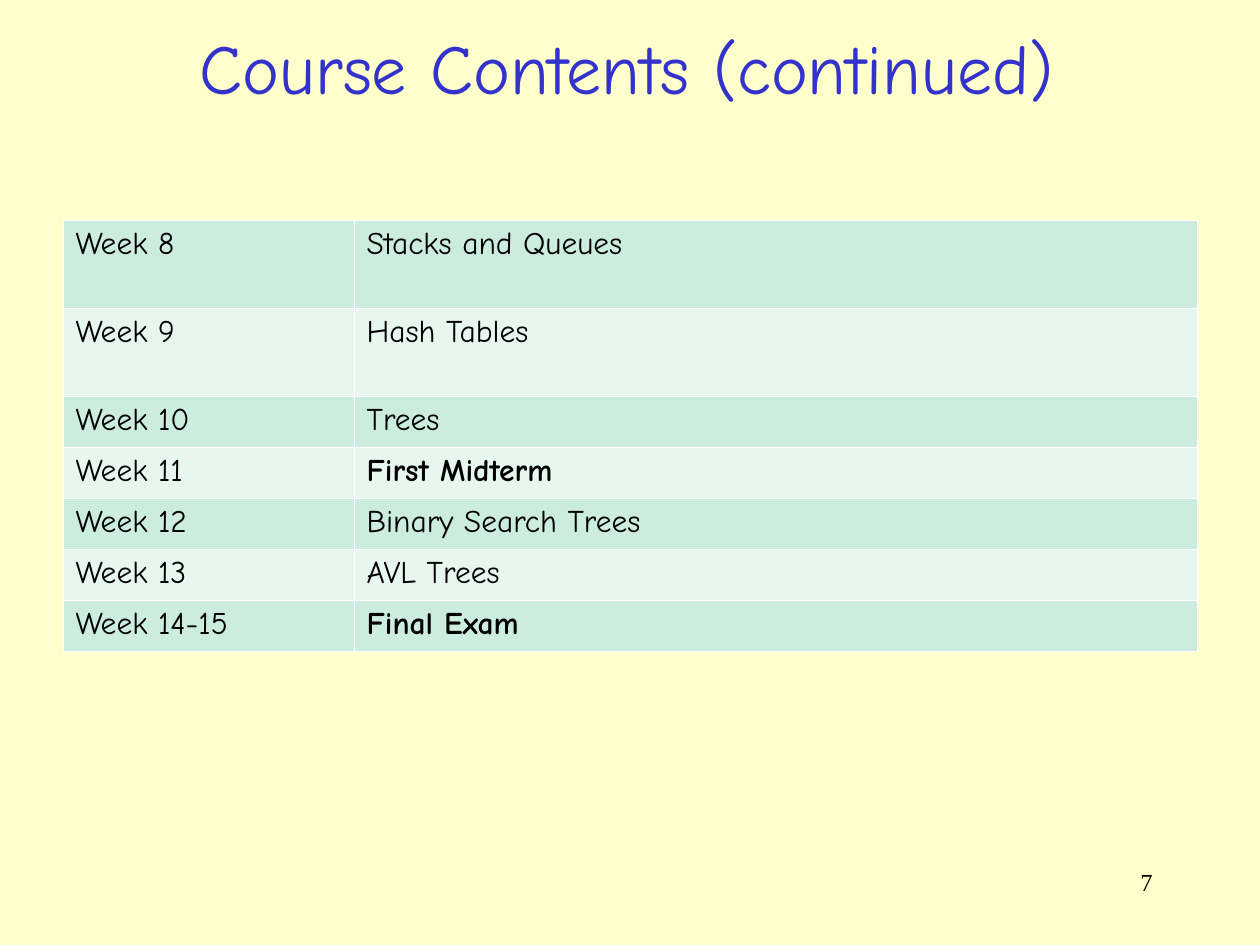
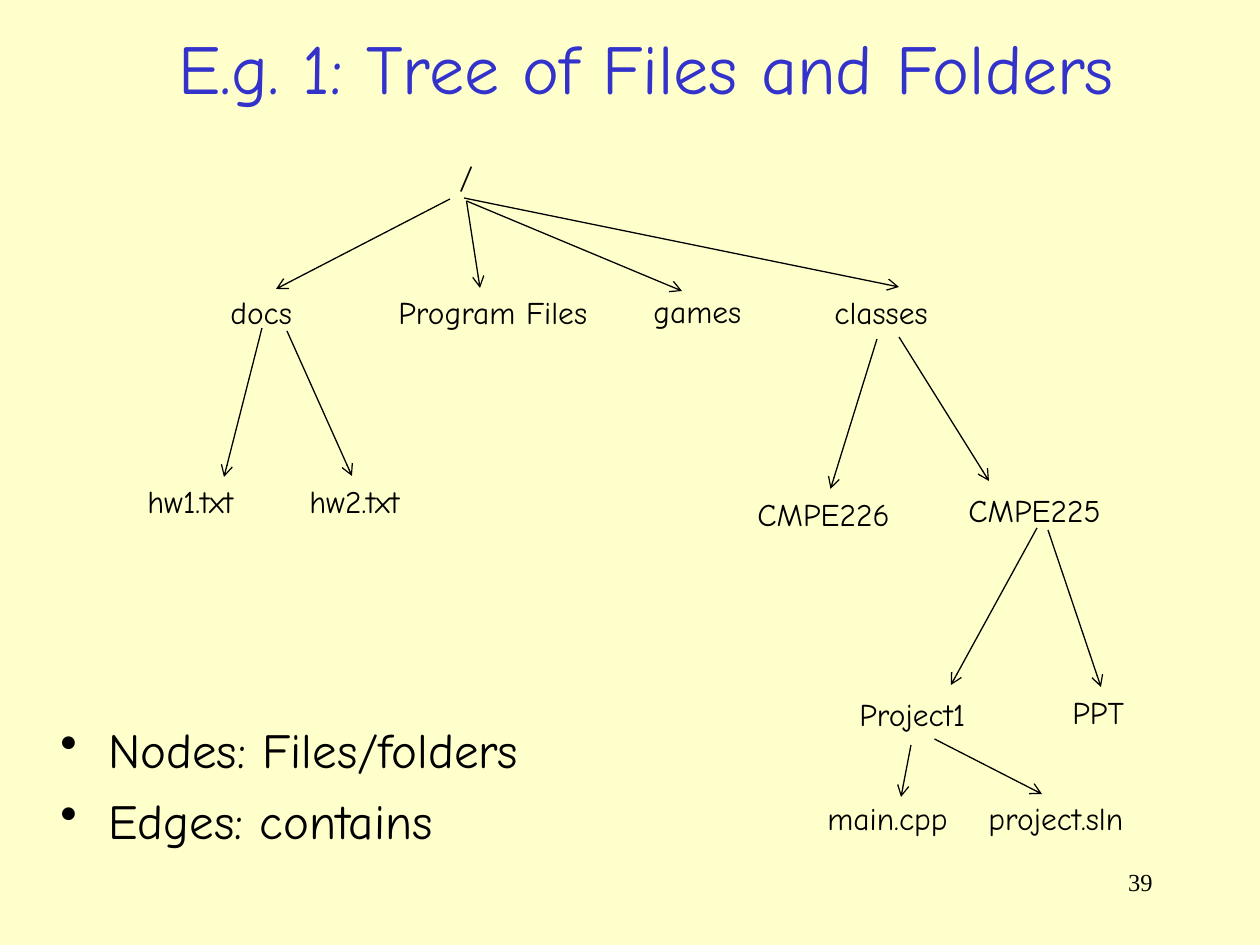
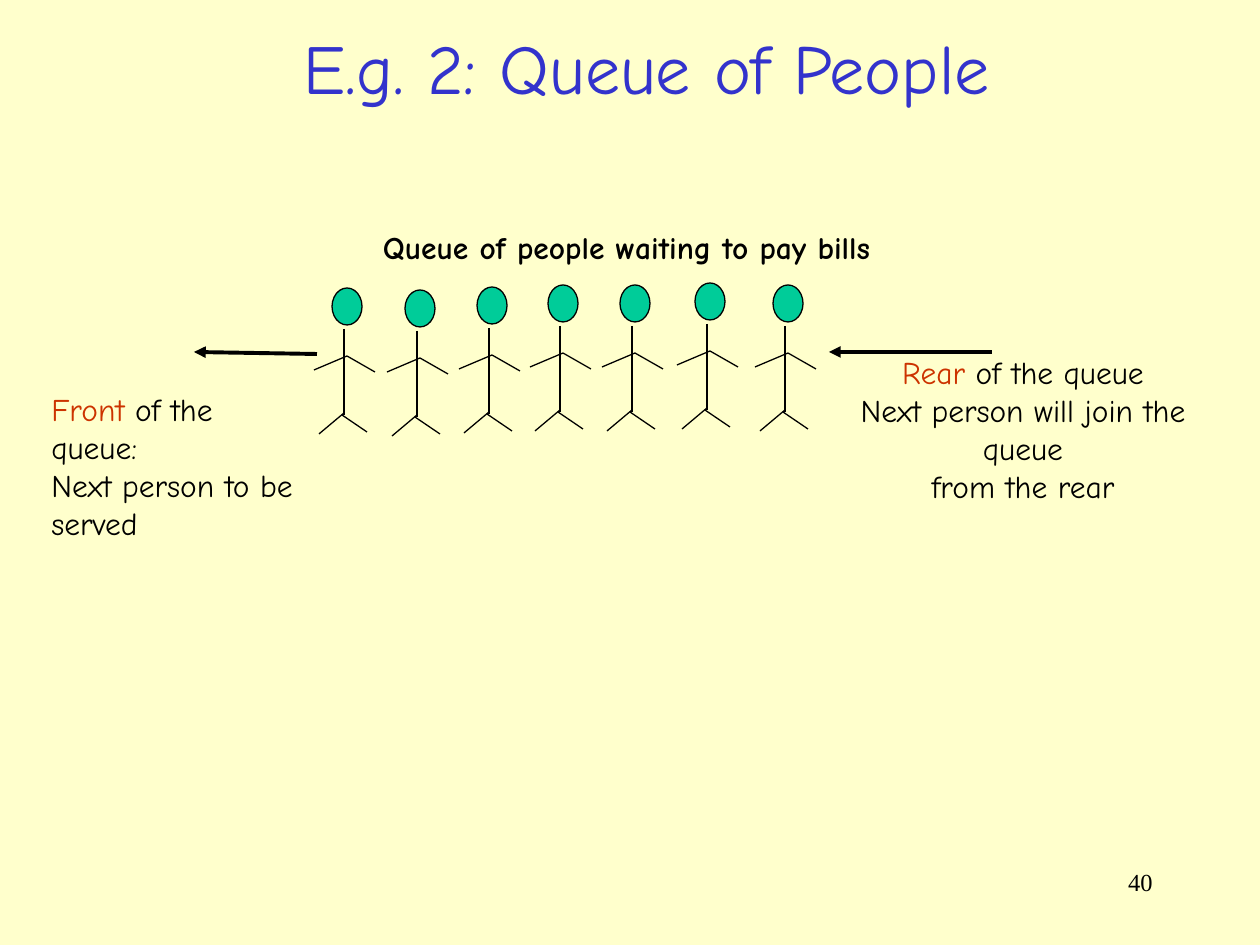
from pptx import Presentation
from pptx.dml.color import RGBColor
from pptx.enum.shapes import MSO_CONNECTOR, MSO_SHAPE
from pptx.enum.text import MSO_ANCHOR, PP_ALIGN
from pptx.oxml.ns import qn
from pptx.util import Pt
from lxml.etree import SubElement

SCALE = 914400 / 126  # EMU in one px
COLORS = {
    "background": "FFFFCC",
    "title": "3333CC",
    "text": "000000",
    "accent": "CC3300",
    "head": "00CC99",
    "odd row": "CBECDE",
    "even row": "E7F6EF",
    "border": "FFFFFF",
}
CENTER, RIGHT = PP_ALIGN.CENTER, PP_ALIGN.RIGHT


def write_text(target, text, area=None, size=18, color="text", font="Comic Neue",
               bold=False, align=None, anchor=None, wrap=True, bullet=False,
               space=0, accent=""):
    """Write text into a new box on a page, or into a table cell when no area is given."""
    box = target
    if area:
        box = target.shapes.add_textbox(*[round(n * SCALE) for n in area])
    frame = box.text_frame
    frame.word_wrap = wrap
    if anchor is not None:
        frame.vertical_anchor = anchor
    for number, line in enumerate(text.split("\n")):
        para = frame.add_paragraph() if number else frame.paragraphs[0]
        if bullet:
            properties = para._p.get_or_add_pPr()
            indent = round(48 * SCALE)
            properties.set("marL", str(indent))
            properties.set("indent", str(-indent))
            SubElement(properties, qn("a:buChar")).set("char", "•")
        if align is not None:
            para.alignment = align
        if number and space:
            para.space_before = Pt(space)
        lead = accent if accent and line.startswith(accent) else ""
        for part, part_color in ((lead, "accent"), (line[len(lead):], color)):
            if part:
                span = para.add_run()
                span.text = part
                span.font.name = font
                span.font.size = Pt(size)
                span.font.bold = bold
                span.font.color.rgb = RGBColor.from_string(COLORS[part_color])
    return box


def add_line(owner, start, end, width=0.75, arrow=None):
    """Draw a straight line from start to end, with an arrowhead at its end if asked."""
    line = owner.shapes.add_connector(
        MSO_CONNECTOR.STRAIGHT, *[round(n * SCALE) for n in (*start, *end)])
    line.line.color.rgb = RGBColor.from_string(COLORS["text"])
    line.line.width = Pt(width)
    if arrow:
        SubElement(line.line._get_or_add_ln(), qn("a:tailEnd")).set("type", arrow)
    SubElement(line._element.spPr, qn("a:effectLst"))
    return line


deck = Presentation()
deck.slide_width, deck.slide_height = round(1260 * SCALE), round(945 * SCALE)
background = deck.slide_master.background.fill
background.solid()
background.fore_color.rgb = RGBColor.from_string(COLORS["background"])

# Pages with their titles and numbers
pages = []
for title, number, left, width in (
    ("Course Contents (continued)", "7", 91, 1071),
    ("E.g. 1: Tree of Files and Folders", "39", 68, 1157),
    ("E.g. 2: Queue of People", "40", 68, 1157),
):
    page = deck.slides.add_slide(deck.slide_layouts[6])
    write_text(page, title, (left, 19, width, 96), size=40, color="title",
               align=CENTER, anchor=MSO_ANCHOR.MIDDLE)
    write_text(page, number, (903, 861, 262, 63), size=14,
               font="Times New Roman", align=RIGHT)
    pages.append(page)
contents_page, tree_page, queue_page = pages

# Weekly schedule
weeks = [
    ("Week 8", "Stacks and Queues", 88),
    ("Week 9", "Hash Tables", 88),
    ("Week 10", "Trees", 51),
    ("Week 11", "First Midterm", 51),
    ("Week 12", "Binary Search Trees", 51),
    ("Week 13", "AVL Trees", 51),
    ("Week 14-15", "Final Exam", 51),
]
exams = ("First Midterm", "Final Exam")
schedule = contents_page.shapes.add_table(
    len(weeks), 2, *[round(n * SCALE) for n in (63, 220, 1134, 431)]).table
schedule.first_row = schedule.horz_banding = False
for column, width in zip(schedule.columns, (291, 843)):
    column.width = round(width * SCALE)
for row, (week, topic, height) in enumerate(weeks):
    schedule.rows[row].height = round(height * SCALE)
    for column, text in enumerate((week, topic)):
        cell = schedule.cell(row, column)
        write_text(cell, text, bold=text in exams)
        properties = cell._tc.get_or_add_tcPr()
        for side in ("a:lnL", "a:lnR", "a:lnT", "a:lnB"):
            border = SubElement(properties, qn(side), w=str(Pt(0.45)))
            fill = SubElement(border, qn("a:solidFill"))
            SubElement(fill, qn("a:srgbClr")).set("val", COLORS["border"])
        cell.fill.solid()
        cell.fill.fore_color.rgb = RGBColor.from_string(
            COLORS["even row" if row % 2 else "odd row"])

# Files and folders
write_text(tree_page, "Nodes: Files/folders\nEdges: contains", (48, 713, 636, 173),
           size=28, bullet=True, space=7)
nodes = {}
for name, left, top, width in (
    ("/", 447, 151, 39),
    ("docs", 218, 287, 103),
    ("Program Files", 386, 287, 227),
    ("games", 641, 286, 125),
    ("classes", 822, 287, 154),
    ("hw1.txt", 135, 476, 152),
    ("hw2.txt", 297, 476, 145),
    ("CMPE226", 745, 489, 171),
    ("CMPE225", 956, 485, 185),
    ("Project1", 847, 689, 175),
    ("PPT", 1060, 687, 82),
    ("main.cpp", 815, 793, 158),
    ("project.sln", 976, 793, 195),
):
    nodes[name] = write_text(tree_page, name, (left, top, width, 50))

# Edges run between points, or from a node's bottom to a node's top
for start, end in (
    ((450, 199), (276, 289)),
    ("/", (480, 288)),
    ("/", (682, 291)),
    ((464, 198), "classes"),
    ((262, 328), (224, 477)),
    ((287, 331), (352, 476)),
    ((877, 339), "CMPE226"),
    ("classes", (989, 481)),
    ((1037, 528), (951, 685)),
    ((1048, 530), "PPT"),
    ((911, 745), (901, 797)),
    ("Project1", (1042, 794)),
):
    edge = add_line(tree_page, (0, 0) if start in nodes else start,
                    (0, 0) if end in nodes else end, arrow="arrow")
    if start in nodes:
        edge.begin_connect(nodes[start], 2)
    if end in nodes:
        edge.end_connect(nodes[end], 0)

# People in the queue, each placed by the tip of the left hand
limbs = [
    ((0, 0), (33, -14)),    # left arm
    ((33, -14), (61, 2)),   # right arm
    ((30, -41), (30, 45)),  # body
    ((30, 43), (5, 64)),    # left leg
    ((28, 45), (53, 62)),   # right leg
]
for x, y in ((314, 370), (387, 372), (459, 369), (530, 367),
             (602, 367), (677, 365), (755, 367)):
    person = queue_page.shapes.add_group_shape()
    for (x1, y1), (x2, y2) in limbs:
        add_line(person, (x + x1, y + y1), (x + x2, y + y2))
    head = person.shapes.add_shape(
        MSO_SHAPE.OVAL, *[round(n * SCALE) for n in (x + 18, y - 82, 30, 37)])
    head.shadow.inherit = False
    head.fill.solid()
    head.fill.fore_color.rgb = RGBColor.from_string(COLORS["head"])
    head.line.color.rgb = RGBColor.from_string(COLORS["text"])
    head.line.width = Pt(0.75)

# Queue arrows and labels
for start, end in (((317, 354), (194, 352)), ((992, 352), (829, 352))):
    add_line(queue_page, start, end, width=2.25, arrow="triangle")
write_text(queue_page, "Front of the queue:\nNext person to be served",
           (39, 384, 280, 164), accent="Front")
write_text(queue_page, "Rear of the queue\nNext person will join the queue\nfrom the rear",
           (825, 347, 396, 164), accent="Rear", align=CENTER)
write_text(queue_page, "Queue of people waiting to pay bills", (370, 222, 513, 50),
           bold=True, align=CENTER, wrap=False)

deck.save("out.pptx")
